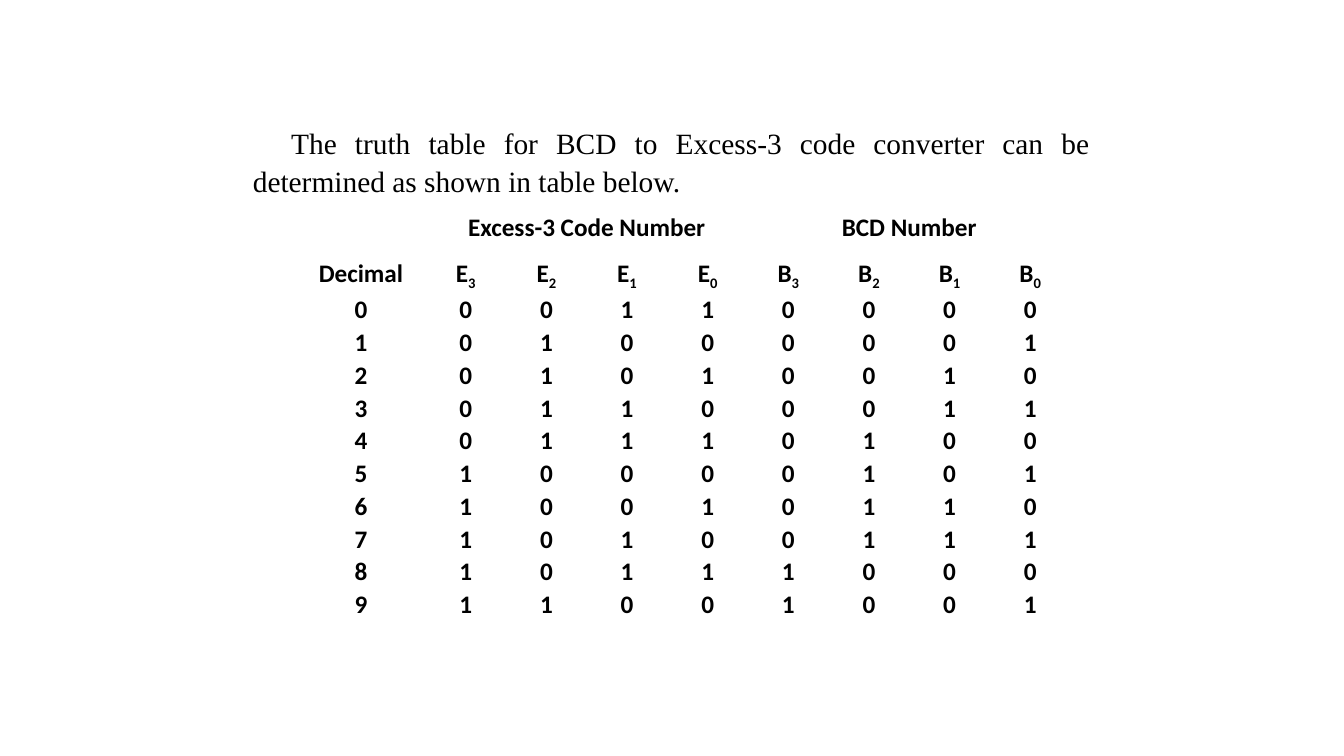
from lxml.etree import SubElement
from pptx import Presentation
from pptx.dml.color import RGBColor
from pptx.enum.text import MSO_AUTO_SIZE, PP_ALIGN
from pptx.oxml.ns import qn
from pptx.util import Inches, Pt

SLIDE_WIDTH, SLIDE_HEIGHT = 13.33, 7.5
BLACK, WHITE = "000000", "FFFFFF"
INTRO = ("The truth table for BCD to Excess-3 code converter can be "
         "determined as shown in table below.")
INTRO_FONT = {"name": "Times New Roman", "size": Pt(21)}
TABLE_FONT = {"name": "Calibri", "size": Pt(18), "bold": True}
CELL_MARGINS = {"margin_left": Inches(0.06), "margin_right": Inches(0.06),
                "margin_top": 0, "margin_bottom": 0}
CENTRED = {"alignment": PP_ALIGN.CENTER, "line_spacing": 1.07}
JUSTIFIED = {"alignment": PP_ALIGN.JUSTIFY, "line_spacing": 1.07,
             "space_after": Pt(6)}
BITS = 4
GROUPS = {"Excess-3 Code Number": "E", "BCD Number": "B"}
DECIMAL_WIDTH = 1.28
GROUP_HEIGHT, HEADING_HEIGHT = 0.45, 0.36


def colour(value):
    return RGBColor.from_string(value)


def apply(target, formats):
    for attribute, value in formats.items():
        setattr(target, attribute, value)


def add_run(paragraph, text, font, baseline=0):
    run = paragraph.add_run()
    run.text = text
    apply(run.font, font)
    run.font.color.rgb = colour(BLACK)
    if baseline:
        run._r.get_or_add_rPr().set("baseline", str(baseline * 1000))


def add_intro(slide, left, top, width, height):
    intro = slide.shapes.add_textbox(
        *map(Inches, (left, top, width, height))).text_frame
    apply(intro, {"word_wrap": True,
                  "auto_size": MSO_AUTO_SIZE.SHAPE_TO_FIT_TEXT})
    paragraph = intro.paragraphs[0]
    apply(paragraph, JUSTIFIED)
    indents = paragraph._p.get_or_add_pPr()
    indents.set("marL", "0")
    indents.set("indent", str(Inches(0.38)))
    add_run(paragraph, INTRO, INTRO_FONT)


def style_cell(cell, bottom_width):
    properties = cell._tc.get_or_add_tcPr()
    for side, width in (("L", 1), ("R", 1), ("T", 1), ("B", bottom_width)):
        border = SubElement(properties, qn(f"a:ln{side}"), w=str(Pt(width)))
        fill = SubElement(border, qn("a:solidFill"))
        SubElement(fill, qn("a:srgbClr"), val=WHITE)
    cell.fill.solid()
    cell.fill.fore_color.rgb = colour(WHITE)


def write_cell(cell, text, subscript=""):
    apply(cell, CELL_MARGINS)
    paragraph = cell.text_frame.paragraphs[0]
    apply(paragraph, CENTRED)
    add_run(paragraph, text, TABLE_FONT)
    if subscript:
        add_run(paragraph, subscript, TABLE_FONT, -25)


def truth_rows():
    for digit in range(10):
        yield [str(digit), *f"{digit + 3:04b}", *f"{digit:04b}"]


def add_truth_table(slide, left, top, width, height):
    digits = list(truth_rows())
    row_count, column_count = len(digits) + 2, len(digits[0])
    table = slide.shapes.add_table(
        row_count, column_count,
        *map(Inches, (left, top, width, height))).table
    apply(table, {"first_row": False, "horz_banding": False})

    bit_width = (width - DECIMAL_WIDTH) / (column_count - 1)
    for index, column in enumerate(table.columns):
        column.width = Inches(bit_width if index else DECIMAL_WIDTH)
    digit_height = (height - GROUP_HEIGHT - HEADING_HEIGHT) / len(digits)
    heights = [GROUP_HEIGHT, HEADING_HEIGHT] + [digit_height] * len(digits)
    for index, row in enumerate(table.rows):
        row.height = Inches(heights[index])
        for cell in row.cells:
            style_cell(cell, 1 if index else 3)

    write_cell(table.cell(1, 0), "Decimal")
    for group, (title, letter) in enumerate(GROUPS.items()):
        first = 1 + group * BITS
        table.cell(0, first).merge(table.cell(0, first + BITS - 1))
        write_cell(table.cell(0, first), title)
        for bit in range(BITS):
            write_cell(table.cell(1, first + bit), letter, str(BITS - 1 - bit))
    for row, values in enumerate(digits, start=2):
        for column, value in enumerate(values):
            write_cell(table.cell(row, column), value)


def main():
    presentation = Presentation()
    presentation.slide_width = Inches(SLIDE_WIDTH)
    presentation.slide_height = Inches(SLIDE_HEIGHT)
    slide = presentation.slides.add_slide(presentation.slide_layouts[6])
    add_intro(slide, 2.41, 1.17, 8.5, 0.83)
    add_truth_table(slide, 2.94, 2.09, 7.68, 4.06)
    presentation.save("out.pptx")


if __name__ == "__main__":
    main()
